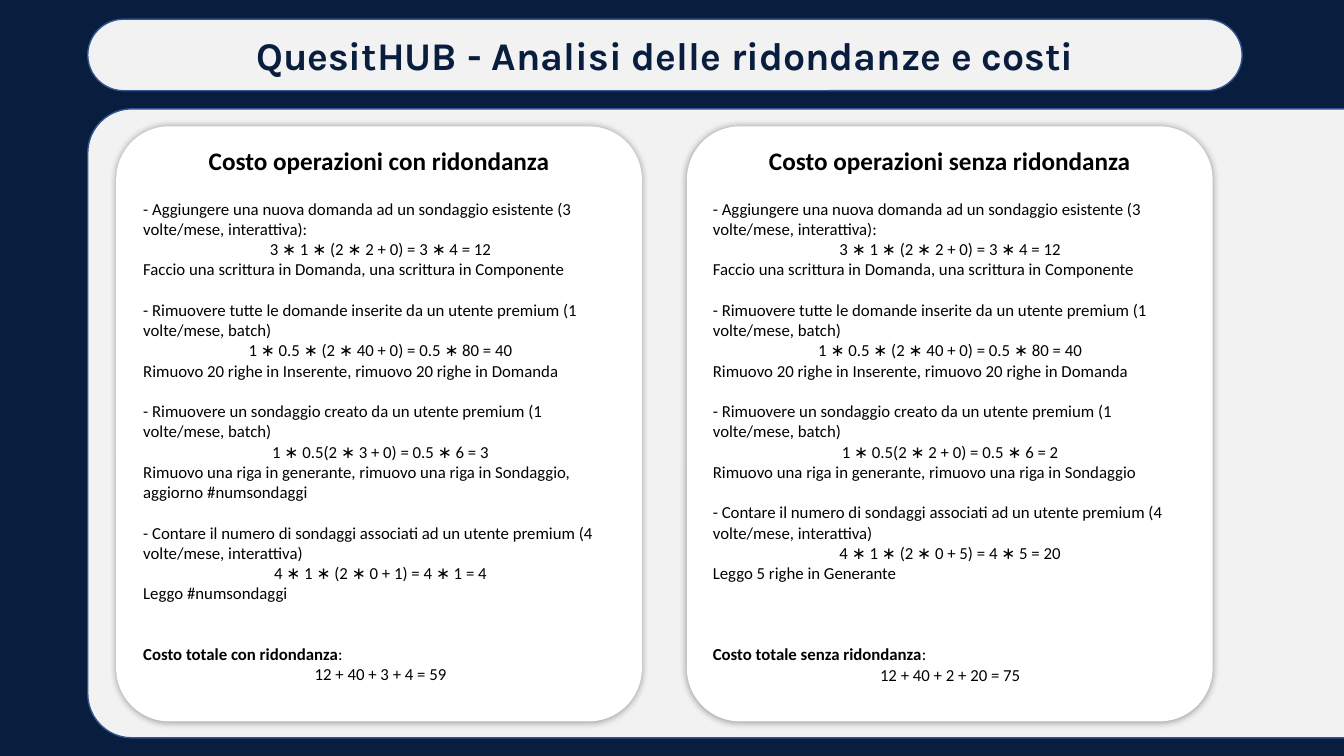
from dataclasses import dataclass

from lxml import etree
from pptx import Presentation
from pptx.dml.color import RGBColor
from pptx.enum.shapes import MSO_SHAPE
from pptx.enum.text import MSO_ANCHOR, MSO_AUTO_SIZE, PP_ALIGN
from pptx.oxml import parse_xml
from pptx.oxml.ns import nsdecls, qn
from pptx.util import Inches, Pt

ROUNDED = MSO_SHAPE.ROUNDED_RECTANGLE
LEFT, CENTER = PP_ALIGN.LEFT, PP_ALIGN.CENTER
TOP, MIDDLE = MSO_ANCHOR.TOP, MSO_ANCHOR.MIDDLE
NO_AUTOFIT = MSO_AUTO_SIZE.NONE


@dataclass(frozen=True)
class Theme:
    """Colours, fonts and type sizes of the slide."""
    navy: RGBColor = RGBColor(0x09, 0x1D, 0x3E)
    outline: RGBColor = RGBColor(0x32, 0x54, 0x91)
    panel: RGBColor = RGBColor(0xF2, 0xF2, 0xF2)
    card: RGBColor = RGBColor(0xFF, 0xFF, 0xFF)
    text: RGBColor = RGBColor(0, 0, 0)
    title_font: str = "Karla"
    body_font: str = "Calibri"
    title_size: float = 28
    heading_size: float = 18
    body_size: float = 12
    body_line: float = 14.65


theme = Theme()

ADD_QUESTION = "- Aggiungere una nuova domanda ad un sondaggio esistente (3 volte/mese, interattiva):"
REMOVE_QUESTIONS = "- Rimuovere tutte le domande inserite da un utente premium (1 volte/mese, batch)"
REMOVE_SURVEY = "- Rimuovere un sondaggio creato da un utente premium (1 volte/mese, batch)"
COUNT_SURVEYS = "- Contare il numero di sondaggi associati ad un utente premium (4 volte/mese, interattiva)"
SHARED_OPERATIONS = [
    (ADD_QUESTION, "3 ∗ 1 ∗ (2 ∗ 2 + 0) = 3 ∗ 4 = 12",
     "Faccio una scrittura in Domanda, una scrittura in Componente"),
    (REMOVE_QUESTIONS, "1 ∗ 0.5 ∗ (2 ∗ 40 + 0) = 0.5 ∗ 80 = 40",
     "Rimuovo 20 righe in Inserente, rimuovo 20 righe in Domanda"),
]
SURVEY_ROWS = "Rimuovo una riga in generante, rimuovo una riga in Sondaggio"

# Variant, card left, body left, own operations, total, lines above the total
CARDS = [
    ("con ridondanza", 1.16, 1.32, [
        (REMOVE_SURVEY, "1 ∗ 0.5(2 ∗ 3 + 0) = 0.5 ∗ 6 = 3",
         SURVEY_ROWS + ", aggiorno #numsondaggi"),
        (COUNT_SURVEYS, "4 ∗ 1 ∗ (2 ∗ 0 + 1) = 4 ∗ 1 = 4", "Leggo #numsondaggi"),
    ], "12 + 40 + 3 + 4 = 59", 2),
    ("senza ridondanza", 6.82, 6.97, [
        (REMOVE_SURVEY, "1 ∗ 0.5(2 ∗ 2 + 0) = 0.5 ∗ 6 = 2", SURVEY_ROWS),
        (COUNT_SURVEYS, "4 ∗ 1 ∗ (2 ∗ 0 + 5) = 4 ∗ 5 = 20", "Leggo 5 righe in Generante"),
    ], "12 + 40 + 2 + 20 = 75", 3),
]

SOFT_SHADOW = (
    f'<a:effectLst {nsdecls("a")}><a:outerShdw blurRad="63500" algn="ctr" rotWithShape="0">'
    '<a:srgbClr val="000000"><a:alpha val="40000"/></a:srgbClr></a:outerShdw></a:effectLst>'
)


def place(placeholder, box, anchor):
    """Move a placeholder to a box in inches and return its text frame."""
    placeholder.left, placeholder.top, placeholder.width, placeholder.height = map(Inches, box)
    frame = placeholder.text_frame
    frame.word_wrap = True
    frame.auto_size = NO_AUTOFIT
    frame.vertical_anchor = anchor
    return frame


def write(paragraph, runs, alignment, font_name, size, color, before=0):
    """Fill an unbulleted paragraph with (text, bold) runs."""
    paragraph.alignment = alignment
    paragraph.space_before = Pt(before)
    properties = paragraph._p.get_or_add_pPr()
    properties.set("marL", "0")
    properties.set("indent", "0")
    etree.SubElement(properties, qn("a:buNone"))
    for text, bold in runs:
        run = paragraph.add_run()
        run.text = text
        run.font.name = font_name
        run.font.size = Pt(size)
        run.font.bold = bold
        run.font.color.rgb = color


presentation = Presentation()
presentation.slide_width = Inches(13.33)
presentation.slide_height = Inches(7.5)
slide = presentation.slides.add_slide(presentation.slide_layouts.get_by_name("Comparison"))
slide.background.fill.solid()
slide.background.fill.fore_color.rgb = theme.navy
title = slide.shapes.title

# Rounded panels, placed behind the text placeholders
panels = [
    ((0.87, 1.08, 13.09, 6.24), 0.07, theme.panel, theme.outline),
    ((0.87, 0.19, 11.45, 0.71), 0.5, theme.panel, theme.outline),
]
panels += [((card[1], 1.26, 5.2, 5.89), 0.1, theme.card, theme.card) for card in CARDS]
for box, rounding, fill, outline in panels:
    shape = slide.shapes.add_shape(ROUNDED, *map(Inches, box))
    shape.adjustments[0] = rounding
    shape.fill.solid()
    shape.fill.fore_color.rgb = fill
    shape.line.color.rgb = outline
    shape.line.width = Pt(1)
    if fill == theme.card:
        shape.element.spPr.append(parse_xml(SOFT_SHADOW))
    else:
        shape.shadow.inherit = False
    title.element.addprevious(shape.element)

frame = place(title, (0.87, 0.26, 11.45, 0.57), MIDDLE)
write(frame.paragraphs[0], [("QuesitHUB - Analisi delle ridondanze e costi", True)],
      CENTER, theme.title_font, theme.title_size, theme.navy)

# Placeholders after the title alternate: heading, body, heading, body
text_holders = list(slide.placeholders)[1:]
for card, heading, body in zip(CARDS, text_holders[::2], text_holders[1::2]):
    variant, card_left, body_left, operations, total, total_gap = card
    frame = place(heading, (card_left, 1.39, 5.2, 0.4), TOP)
    write(frame.paragraphs[0], [(f"Costo operazioni {variant}", True)],
          CENTER, theme.body_font, theme.heading_size, theme.text)

    lines = []
    for index, (operation, formula, note) in enumerate(SHARED_OPERATIONS + operations):
        lines += [([(operation, False)], LEFT, min(index, 1)),
                  ([(formula, False)], CENTER, 0),
                  ([(note, False)], LEFT, 0)]
    lines += [([(f"Costo totale {variant}", True), (":", False)], LEFT, total_gap),
              ([(total, False)], CENTER, 0)]

    frame = place(body, (body_left, 1.92, 4.91, 4.95), TOP)
    for index, (runs, alignment, gap) in enumerate(lines):
        paragraph = frame.add_paragraph() if index else frame.paragraphs[0]
        write(paragraph, runs, alignment, theme.body_font, theme.body_size,
              theme.text, gap * theme.body_line)

presentation.save("out.pptx")
